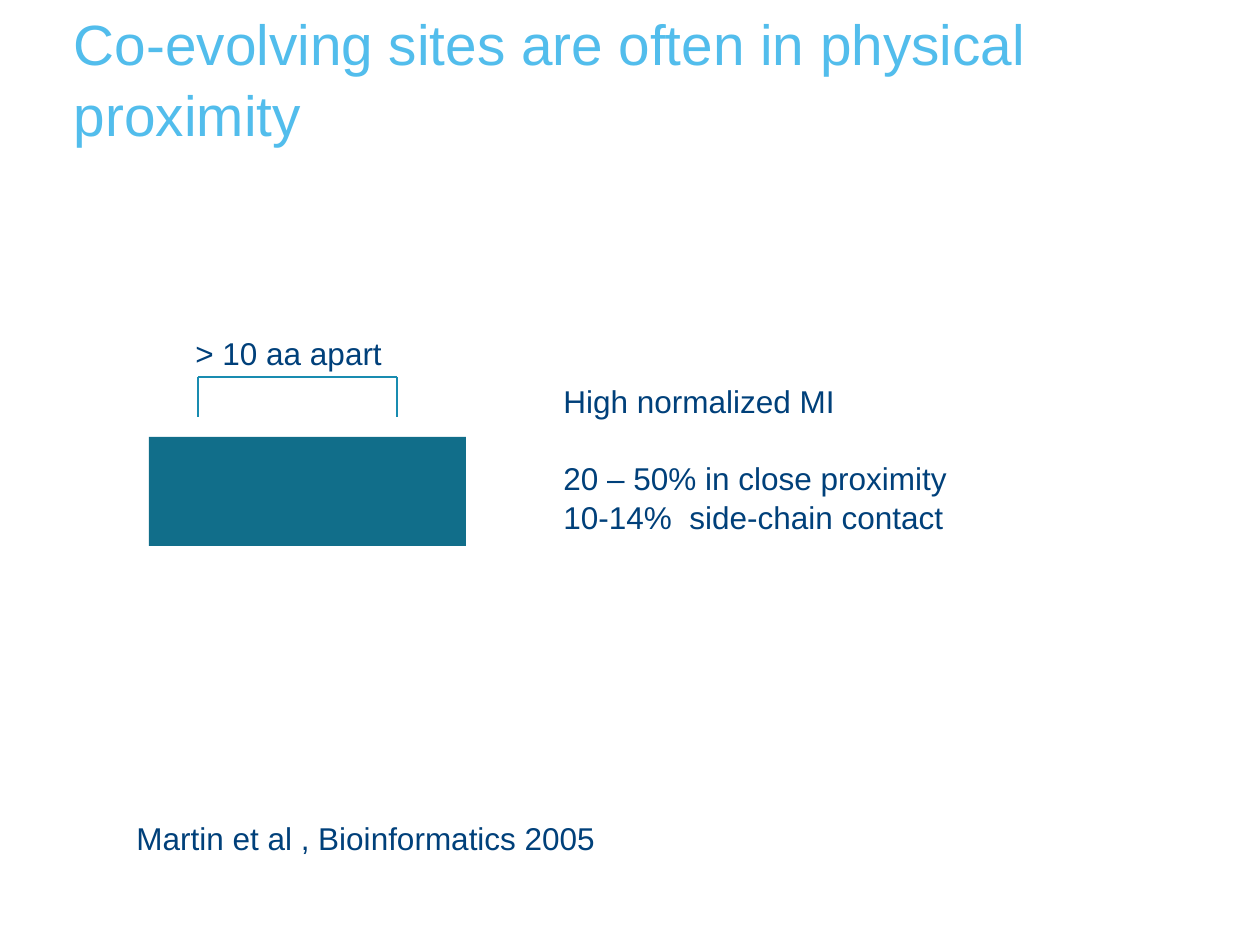
from itertools import pairwise

from pptx import Presentation
from pptx.dml.color import RGBColor
from pptx.enum.shapes import MSO_CONNECTOR, MSO_SHAPE
from pptx.enum.text import MSO_ANCHOR, MSO_AUTO_SIZE
from pptx.oxml.ns import qn
from pptx.util import Emu, Pt
from lxml.etree import SubElement

PX = 914400 / 126
SKY = RGBColor(0x52, 0xBD, 0xEC)
NAVY = RGBColor(0x00, 0x40, 0x7A)
TEAL = RGBColor(0x11, 0x6E, 0x8A)
BRACKET = RGBColor(0x19, 0x8C, 0xB0)


def px(*lengths):
    """Turn pixel lengths into EMU."""
    return [Emu(round(n * PX)) for n in lengths]


def add_text(s, box, *lines, size=18, color=NAVY, wrap=True, inset=None,
             anchor=MSO_ANCHOR.TOP, fit=MSO_AUTO_SIZE.SHAPE_TO_FIT_TEXT, gaps=()):
    """Add a text box with one paragraph per line; gaps maps line index to space before."""
    tf = s.shapes.add_textbox(*px(*box)).text_frame
    tf.word_wrap, tf.auto_size, tf.vertical_anchor = wrap, fit, anchor
    if inset is not None:
        tf.margin_left = tf.margin_top = tf.margin_right = tf.margin_bottom = inset
    for i, line in enumerate(lines):
        p = tf.add_paragraph() if i else tf.paragraphs[0]
        p.line_spacing = 1.04
        if i in gaps:
            p.space_before = Pt(gaps[i])
        r = p.add_run()
        r.text = line
        r.font.name, r.font.size = "Arial", Pt(size)
        r.font.color.rgb = color


def add_bar(s, box, color):
    """Add a filled rectangle without outline."""
    sp = s.shapes.add_shape(MSO_SHAPE.RECTANGLE, *px(*box))
    sp.shadow.inherit = False
    sp.fill.solid()
    sp.fill.fore_color.rgb = color
    sp.line.fill.background()


def add_line(s, start, end, color):
    """Add a thin straight line between two points."""
    line = s.shapes.add_connector(MSO_CONNECTOR.STRAIGHT, *px(*start, *end))
    line.line.color.rgb, line.line.width = color, Pt(0.75)
    SubElement(line._element.spPr, qn("a:effectLst"))


def main():
    """Build the slide and save it."""
    prs = Presentation()
    prs.slide_width, prs.slide_height = px(1260, 945)
    s = prs.slides.add_slide(prs.slide_layouts[6])
    add_text(s, (74, 25, 1148, 123), "Co-evolving sites are often in physical proximity",
             size=32.4, color=SKY, inset=0, anchor=MSO_ANCHOR.BOTTOM, fit=MSO_AUTO_SIZE.NONE)
    add_bar(s, (149, 437, 317, 109), TEAL)
    for start, end in pairwise([(198, 417), (198, 377), (397, 377), (397, 417)]):
        add_line(s, start, end, BRACKET)
    add_text(s, (183, 326, 214, 50), "> 10 aa apart", wrap=False)
    add_text(s, (551, 374, 546, 165), "High normalized MI", "20 – 50% in close proximity",
             "10-14%  side-chain contact", gaps={1: 21.5})
    add_text(s, (124, 811, 489, 50), "Martin et al , Bioinformatics 2005", wrap=False)
    prs.save("out.pptx")


if __name__ == "__main__":
    main()
